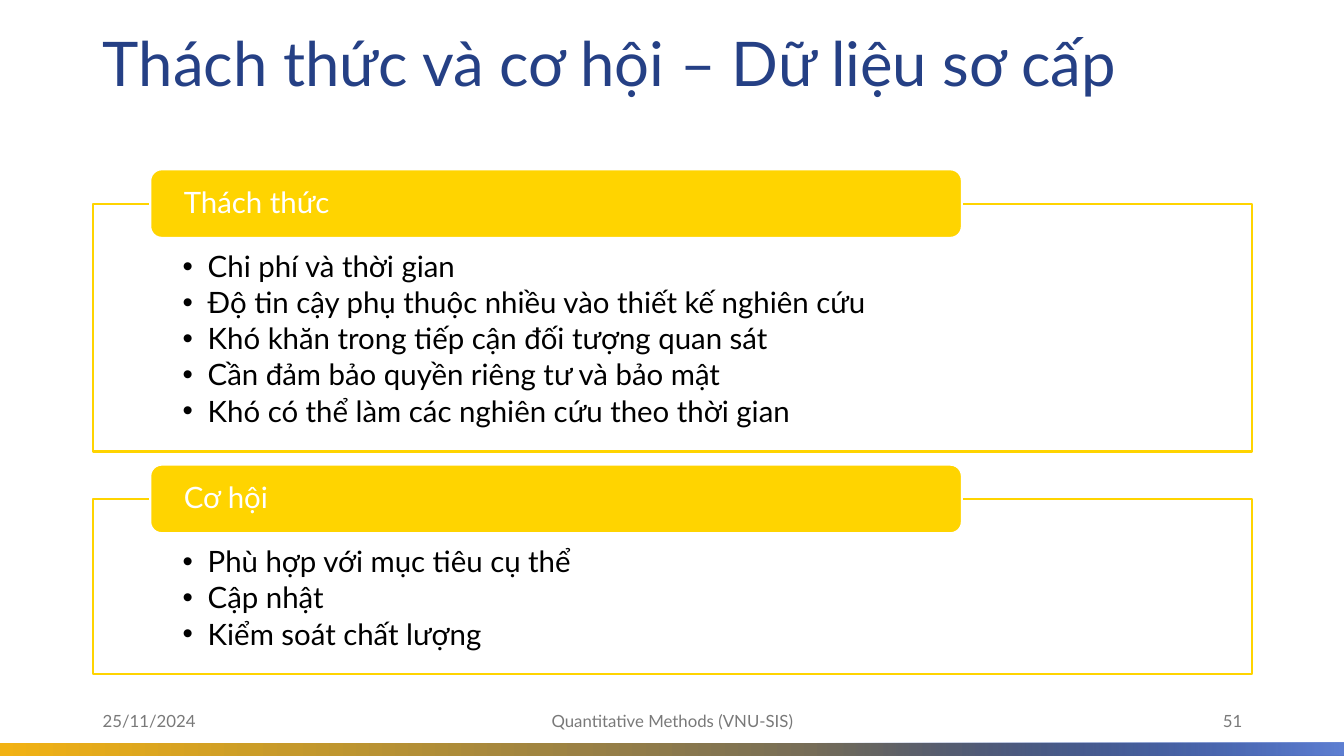
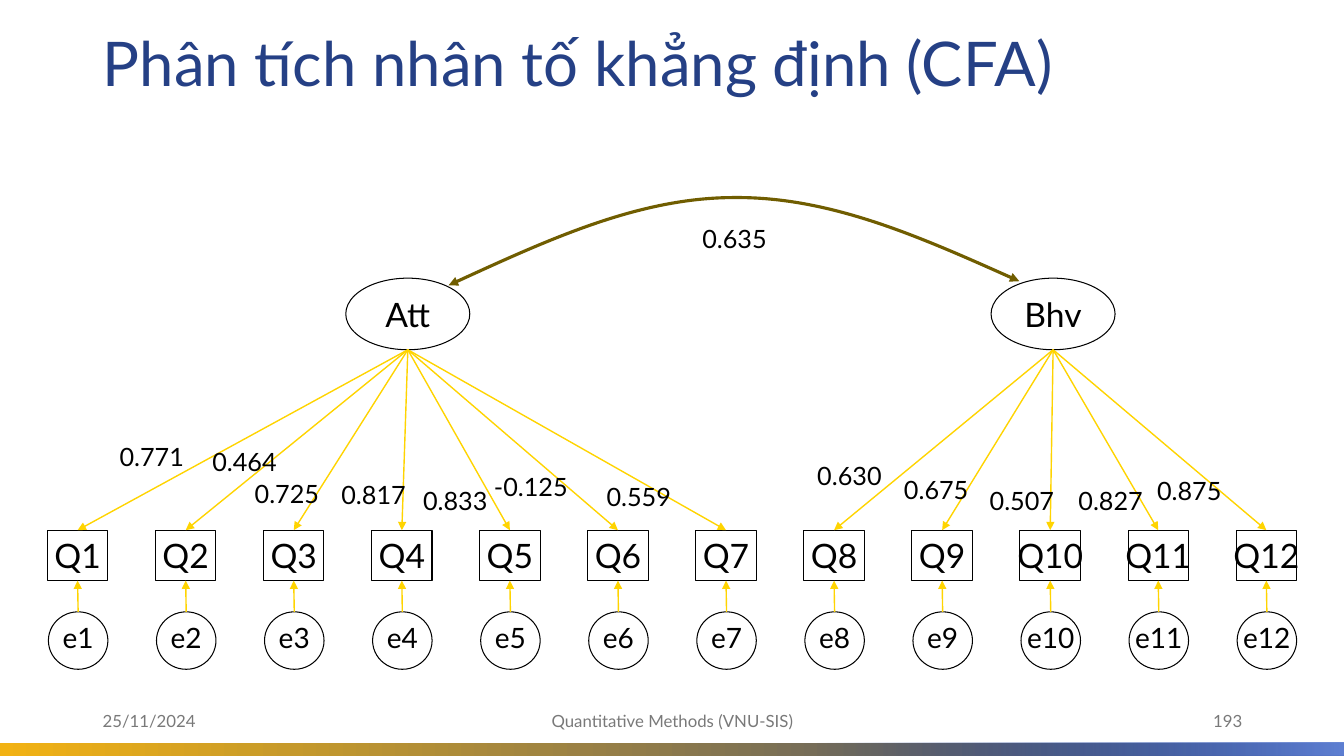
from dataclasses import dataclass

from lxml.etree import SubElement
from pptx import Presentation
from pptx.dml.color import RGBColor
from pptx.enum.dml import MSO_LINE
from pptx.enum.shapes import MSO_CONNECTOR, MSO_SHAPE
from pptx.enum.text import MSO_ANCHOR, MSO_AUTO_SIZE, PP_ALIGN
from pptx.oxml.ns import qn
from pptx.shapes.autoshape import Shape
from pptx.slide import Slide
from pptx.text.text import TextFrame
from pptx.util import Inches, Pt

FONT = "Lato"
BLUE, LIGHT_BLUE, GOLD = "254085", "5F80D3", "F2B213"
YELLOW, BROWN = "FFD400", "705D00"
BLACK, WHITE, GREY = "000000", "FFFFFF", "797979"
SLIDE_WIDTH, SLIDE_HEIGHT = 13.33, 7.5
BAND_HEIGHT = 0.13
MARGIN, CONTENT_WIDTH = 0.92, 11.5
DATE = "25/11/2024"
COURSE = "Quantitative Methods (VNU-SIS)"


@dataclass(frozen=True)
class Box:
    left: float
    top: float
    width: float
    height: float

    @property
    def lengths(self) -> tuple:
        return tuple(Inches(v) for v in (self.left, self.top, self.width, self.height))

    @property
    def center(self) -> float:
        return self.left + self.width / 2

    @property
    def bottom(self) -> float:
        return self.top + self.height


@dataclass(frozen=True)
class Panel:
    heading: str
    points: tuple[str, ...]
    top: float
    height: float


@dataclass(frozen=True)
class Loading:
    value: str
    left: float
    top: float


@dataclass(frozen=True)
class Factor:
    name: str
    left: float
    loadings: tuple[Loading, ...]


PANELS = (
    Panel(
        "Thách thức",
        (
            "Chi phí và thời gian",
            "Độ tin cậy phụ thuộc nhiều vào thiết kế nghiên cứu",
            "Khó khăn trong tiếp cận đối tượng quan sát",
            "Cần đảm bảo quyền riêng tư và bảo mật",
            "Khó có thể làm các nghiên cứu theo thời gian",
        ),
        2.02,
        2.46,
    ),
    Panel(
        "Cơ hội",
        ("Phù hợp với mục tiêu cụ thể", "Cập nhật", "Kiểm soát chất lượng"),
        4.95,
        1.74,
    ),
)

FACTORS = (
    Factor(
        "Att",
        3.43,
        (
            Loading("0.771", 0.93, 4.33),
            Loading("0.464", 1.85, 4.38),
            Loading("0.725", 2.27, 4.7),
            Loading("0.817", 3.13, 4.71),
            Loading("0.833", 3.94, 4.77),
            Loading("-0.125", 4.69, 4.63),
            Loading("0.559", 5.76, 4.73),
        ),
    ),
    Factor(
        "Bhv",
        9.83,
        (
            Loading("0.630", 7.85, 4.52),
            Loading("0.675", 8.71, 4.66),
            Loading("0.507", 9.56, 4.77),
            Loading("0.827", 10.44, 4.77),
            Loading("0.875", 11.22, 4.67),
        ),
    ),
)
CORRELATION = Loading("0.635", 6.71, 2.17)
CORRELATION_CURVE = (
    (4.45, 2.83),
    (5.39, 2.4),
    (6.34, 1.96),
    (7.28, 1.96),
    (8.23, 1.95),
    (9.17, 2.37),
    (10.11, 2.79),
)
FIRST_CENTER, LAST_CENTER = 0.77, 12.56


def rgb(color: str) -> RGBColor:
    return RGBColor.from_string(color)


def style_text(
    frame: TextFrame,
    size: float,
    color: str,
    align: PP_ALIGN = PP_ALIGN.LEFT,
    anchor: MSO_ANCHOR = MSO_ANCHOR.TOP,
) -> None:
    frame.vertical_anchor = anchor
    for paragraph in frame.paragraphs:
        paragraph.alignment = align
        for run in paragraph.runs:
            run.font.name = FONT
            run.font.size = Pt(size)
            run.font.color.rgb = rgb(color)


def set_insets(frame: TextFrame, left: float, top: float, right: float, bottom: float) -> None:
    frame.margin_left, frame.margin_top = Inches(left), Inches(top)
    frame.margin_right, frame.margin_bottom = Inches(right), Inches(bottom)


def place(placeholder: Shape, box: Box) -> None:
    placeholder.left, placeholder.top, placeholder.width, placeholder.height = box.lengths


def add_text(
    slide: Slide,
    text: str,
    box: Box,
    size: float,
    color: str,
    align: PP_ALIGN,
    anchor: MSO_ANCHOR = MSO_ANCHOR.TOP,
) -> None:
    frame = slide.shapes.add_textbox(*box.lengths).text_frame
    frame.word_wrap = True
    frame.text = text
    style_text(frame, size, color, align, anchor)


def add_band(slide: Slide, left: float, start: str, end: str, fade_from: float | None = None) -> None:
    box = Box(left, SLIDE_HEIGHT - BAND_HEIGHT, SLIDE_WIDTH - left, BAND_HEIGHT)
    band = slide.shapes.add_shape(MSO_SHAPE.RECTANGLE, *box.lengths)
    band.shadow.inherit = False
    band.line.fill.background()
    band.fill.gradient()
    band.fill.gradient_angle = 0
    stops = band.fill.gradient_stops
    for stop, color, position in zip(stops, (start, end), (fade_from or 0, 1)):
        stop.color.rgb = rgb(color)
        stop.position = position
    if fade_from is not None:
        first_color = next(band.element.iter(qn("a:srgbClr")))
        SubElement(first_color, qn("a:alpha"), val="0")


def add_base(prs: Presentation, layout: int, title: str, number: str) -> Slide:
    slide = prs.slides.add_slide(prs.slide_layouts[layout])
    add_band(slide, 0, GOLD, BLUE)
    add_band(slide, 6.87, BLUE, LIGHT_BLUE, 0.19)
    heading = slide.shapes.title
    place(heading, Box(MARGIN, 0.15, CONTENT_WIDTH, 1.02))
    frame = heading.text_frame
    frame.text = title
    frame.auto_size = MSO_AUTO_SIZE.NONE
    frame.paragraphs[0].line_spacing = 0.9
    style_text(frame, 44, BLUE, anchor=MSO_ANCHOR.MIDDLE)
    for text, left, width, align in (
        (DATE, MARGIN, 3, PP_ALIGN.LEFT),
        (COURSE, 4.42, 4.5, PP_ALIGN.CENTER),
        (number, 9.42, 3, PP_ALIGN.RIGHT),
    ):
        add_text(slide, text, Box(left, 6.95, width, 0.4), 12, GREY, align, MSO_ANCHOR.MIDDLE)
    return slide


def add_panel(slide: Slide, body: Shape, panel: Panel) -> None:
    place(body, Box(MARGIN, panel.top, CONTENT_WIDTH, panel.height))
    body.fill.solid()
    body.fill.fore_color.rgb = rgb(WHITE)
    body.line.color.rgb = rgb(YELLOW)
    body.line.width = Pt(1.5)
    frame = body.text_frame
    frame.text = "\n".join(panel.points)
    frame.auto_size = MSO_AUTO_SIZE.NONE
    set_insets(frame, 0.89, 0.48, 0.89, 0.16)
    for paragraph in frame.paragraphs:
        properties = paragraph._p.get_or_add_pPr()
        properties.set("marL", str(Inches(0.25)))
        properties.set("indent", str(Inches(-0.25)))
        SubElement(properties, qn("a:buChar"), char="•")
        paragraph.line_spacing = 0.9
        paragraph.space_before = Pt(0)
        paragraph.space_after = Pt(3.15)
    style_text(frame, 21, BLACK)

    tab_box = Box(1.49, panel.top - 0.34, 8.05, 0.68)
    tab = slide.shapes.add_shape(MSO_SHAPE.ROUNDED_RECTANGLE, *tab_box.lengths)
    tab.shadow.inherit = False
    tab.fill.solid()
    tab.fill.fore_color.rgb = rgb(YELLOW)
    tab.line.color.rgb = rgb(WHITE)
    tab.line.width = Pt(1.5)
    tab.text_frame.text = panel.heading
    tab.text_frame.paragraphs[0].line_spacing = 0.9
    set_insets(tab.text_frame, 0.3, 0, 0.3, 0)
    style_text(tab.text_frame, 21, WHITE, anchor=MSO_ANCHOR.MIDDLE)


def add_node(
    slide: Slide, kind: MSO_SHAPE, text: str, box: Box, size: float, inset: float | None = None
) -> Shape:
    node = slide.shapes.add_shape(kind, *box.lengths)
    node.shadow.inherit = False
    node.fill.background()
    node.line.color.rgb = rgb(BLACK)
    node.line.width = Pt(0.75)
    node.text_frame.text = text
    if inset is not None:
        node.text_frame.word_wrap = False
        set_insets(node.text_frame, 0, inset, 0, inset)
    style_text(node.text_frame, size, BLACK, PP_ALIGN.CENTER)
    return node


def add_arrow(slide: Slide, x: float, y: float, target: Shape, side: int) -> None:
    arrow = slide.shapes.add_connector(
        MSO_CONNECTOR.STRAIGHT, Inches(x), Inches(y), Inches(x), Inches(y)
    )
    arrow.end_connect(target, side)
    arrow.line.color.rgb = rgb(YELLOW)
    arrow.line.width = Pt(1)
    SubElement(arrow.line._get_or_add_ln(), qn("a:tailEnd"), type="triangle")
    SubElement(arrow.element.spPr, qn("a:effectLst"))


def add_correlation(slide: Slide) -> None:
    points = [(Inches(x), Inches(y)) for x, y in CORRELATION_CURVE]
    builder = slide.shapes.build_freeform(*points[0])
    builder.add_line_segments(points[1:], close=False)
    curve = builder.convert_to_shape()
    outline = next(curve.element.iter(qn("a:path")))
    segments = outline.findall(qn("a:lnTo"))
    for start in range(0, len(segments), 3):
        bezier = SubElement(outline, qn("a:cubicBezTo"))
        for segment in segments[start:start + 3]:
            bezier.append(segment[0])
            outline.remove(segment)
    curve.shadow.inherit = False
    curve.fill.background()
    curve.line.color.rgb = rgb(BROWN)
    curve.line.width = Pt(2.25)
    curve.line.dash_style = MSO_LINE.SOLID
    for end in ("a:headEnd", "a:tailEnd"):
        SubElement(curve.line._get_or_add_ln(), qn(end), type="triangle")


def add_factor(slide: Slide, factor: Factor, first: int, step: float) -> None:
    factor_box = Box(factor.left, 2.76, 1.23, 0.71)
    add_node(slide, MSO_SHAPE.OVAL, factor.name, factor_box, 24)
    for number, loading in enumerate(factor.loadings, first):
        center = FIRST_CENTER + (number - 1) * step
        question_box = Box(center - 0.3, 5.26, 0.6, 0.5)
        error_box = Box(center - 0.29, 6.07, 0.59, 0.57)
        question = add_node(slide, MSO_SHAPE.RECTANGLE, f"Q{number}", question_box, 24, 0.05)
        add_node(slide, MSO_SHAPE.OVAL, f"e{number}", error_box, 20, 0)
        add_arrow(slide, factor_box.center, factor_box.bottom, question, 0)
        add_arrow(slide, error_box.center, error_box.top, question, 2)


def add_loading(slide: Slide, loading: Loading) -> None:
    box = Box(loading.left, loading.top, 1.15, 0.4)
    add_text(slide, loading.value, box, 18, BLACK, PP_ALIGN.CENTER)


def main() -> None:
    prs = Presentation()
    prs.slide_width, prs.slide_height = Inches(SLIDE_WIDTH), Inches(SLIDE_HEIGHT)

    primary_data = add_base(prs, 3, "Thách thức và cơ hội – Dữ liệu sơ cấp", "51")
    for index, panel in enumerate(PANELS, 1):
        add_panel(primary_data, primary_data.placeholders[index], panel)

    analysis = add_base(prs, 5, "Phân tích nhân tố khẳng định (CFA)", "193")
    step = (LAST_CENTER - FIRST_CENTER) / (sum(len(f.loadings) for f in FACTORS) - 1)
    first = 1
    for factor in FACTORS:
        add_factor(analysis, factor, first, step)
        first += len(factor.loadings)
    add_correlation(analysis)
    for loading in (CORRELATION, *(item for f in FACTORS for item in f.loadings)):
        add_loading(analysis, loading)

    prs.save("out.pptx")


if __name__ == "__main__":
    main()
